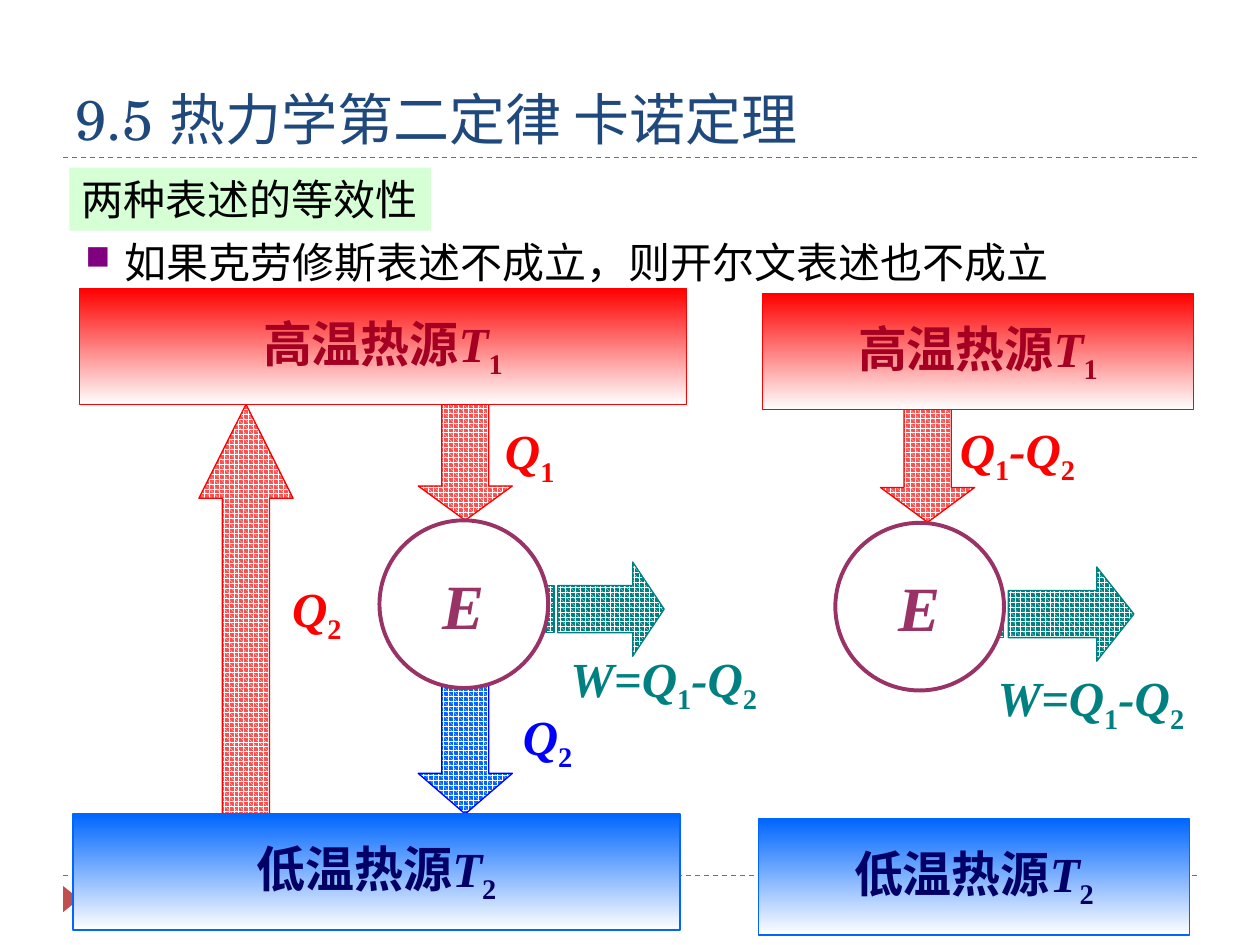
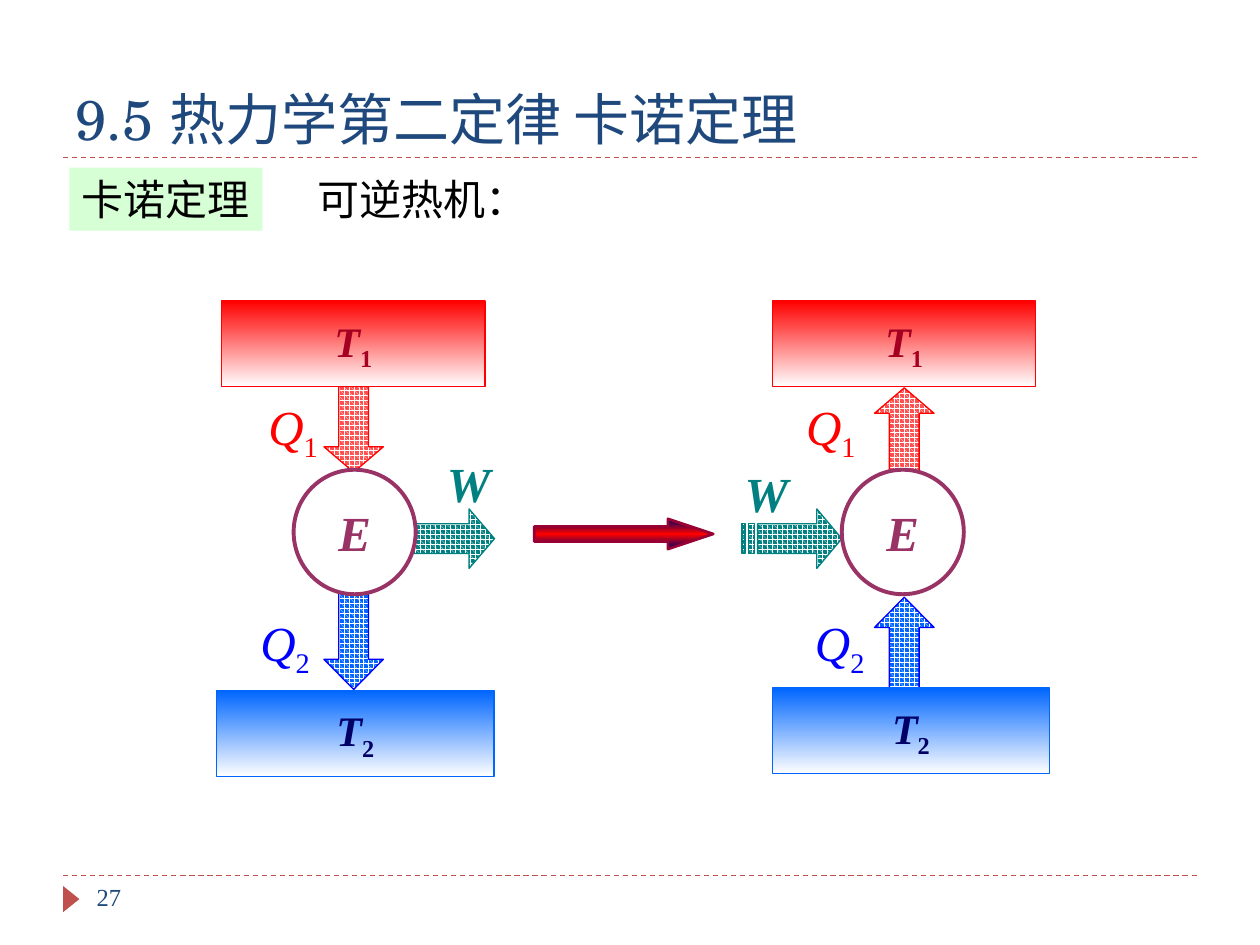
from copy import deepcopy
from dataclasses import dataclass

from lxml import etree
from pptx import Presentation
from pptx.dml.color import RGBColor
from pptx.enum.dml import MSO_LINE, MSO_PATTERN
from pptx.enum.shapes import MSO_CONNECTOR, MSO_SHAPE
from pptx.enum.text import MSO_ANCHOR, MSO_AUTO_SIZE, PP_ALIGN
from pptx.oxml.ns import qn
from pptx.util import Cm, Pt

LEFT, CENTER = PP_ALIGN.LEFT, PP_ALIGN.CENTER
TOP, MIDDLE, BOTTOM = MSO_ANCHOR.TOP, MSO_ANCHOR.MIDDLE, MSO_ANCHOR.BOTTOM
RECT, OVAL, TRIANGLE = MSO_SHAPE.RECTANGLE, MSO_SHAPE.OVAL, MSO_SHAPE.ISOSCELES_TRIANGLE
RIGHT_ARROW = MSO_SHAPE.RIGHT_ARROW
STRAIGHT, DASH, SPHERE = MSO_CONNECTOR.STRAIGHT, MSO_LINE.DASH, MSO_PATTERN.SPHERE
GROW, NO_FIT = MSO_AUTO_SIZE.SHAPE_TO_FIT_TEXT, MSO_AUTO_SIZE.NONE

COLORS = {
    "title": "1F497D", "accent": "C0504D", "tag": "CCFFCC", "text": "000000",
    "bullet": "800080", "white": "FFFFFF", "engine": "993366", "work": "008080",
    "hot": "FF0000", "hot_dots": "FF5050", "hot_text": "A50021",
    "cold": "0066FF", "cold_label": "0000FF", "cold_text": "000066",
    "change_line": "990033",
}
TITLE = "9.5 热力学第二定律 卡诺定理"
TITLE_FONT, BODY_FONT = "TeX Gyre Schola", "Times New Roman"
# Flow kind: pattern colour, outline and label colour
FLOWS = {"hot": ("hot_dots", "hot"), "cold": ("cold", "cold_label"), "work": ("work", "work")}
LABEL_HEIGHT = 1.45
LABEL_WIDTHS = {"W": 1.4, "Q_1": 1.55, "Q_2": 1.55, "Q_1-Q_2": 2.95, "W=Q_1-Q_2": 4.39}


# All positions and sizes below are in centimetres
@dataclass
class Reservoir:
    kind: str
    x: float
    y: float
    w: float
    h: float
    name: str = ""
    size: int = 28


@dataclass
class Engine:
    x: float
    y: float
    w: float
    h: float
    size: int


@dataclass
class Flow:
    kind: str
    direction: str
    x: float
    y: float
    w: float
    h: float
    head: float = 0.25


@dataclass
class Label:
    kind: str
    text: str
    x: float
    y: float
    bold: bool = True


def rgb(name: str) -> RGBColor:
    return RGBColor.from_string(COLORS[name])


def box(x: float, y: float, w: float, h: float) -> tuple:
    return Cm(x), Cm(y), Cm(w), Cm(h)


# Text
def add_run(p, text: str, *, size: int, color: str, font: str = BODY_FONT,
            bold: bool = False, italic: bool = False, sub: bool = False) -> None:
    r = p.add_run()
    r.text = text
    f = r.font
    f.name, f.size, f.bold, f.italic = font, Pt(size), bold, italic
    f.color.rgb = rgb(color)
    if sub:
        r._r.get_or_add_rPr().set("baseline", "-25000")


def add_formula(p, formula: str, **fmt) -> None:
    """Italic symbols; the character after each underscore is an upright subscript."""
    first, *parts = formula.split("_")
    add_run(p, first, italic=True, **fmt)
    for part in parts:
        add_run(p, part[0], sub=True, **fmt)
        if part[1:]:
            add_run(p, part[1:], italic=True, **fmt)


def set_frame(sp, *, anchor=TOP, align=LEFT, wrap: bool = False, fit=NO_FIT):
    tf = sp.text_frame
    tf.word_wrap, tf.auto_size, tf.vertical_anchor = wrap, fit, anchor
    p = tf.paragraphs[0]
    p.alignment = align
    return p


def add_text(slide, text: str, area: tuple, *, size: int = 24, color: str = "text"):
    p = set_frame(slide.shapes.add_textbox(*area), wrap=True, fit=GROW)
    add_run(p, text, size=size, color=color)
    return p


# Shapes
def add_shape(slide, kind, area: tuple, *, fill: str = "", line: str = "", width: float = 0.75):
    sp = slide.shapes.add_shape(kind, *area)
    sp.shadow.inherit = False
    if fill:
        sp.fill.solid()
        sp.fill.fore_color.rgb = rgb(fill)
    set_line(sp, line, width)
    return sp


def set_line(sp, color: str, width: float) -> None:
    if color:
        sp.line.color.rgb = rgb(color)
        sp.line.width = Pt(width)
    else:
        sp.line.fill.background()


def set_gradient(sp, *names: str) -> None:
    """Evenly spaced colours from top to bottom."""
    sp.fill.gradient()
    sp.fill.gradient_angle = 270
    stops = sp._element.find(".//" + qn("a:gsLst"))
    for _ in names[2:]:
        stops.append(deepcopy(stops[0]))
    for i, (stop, name) in enumerate(zip(sp.fill.gradient_stops, names)):
        stop.position = i / (len(names) - 1)
        stop.color.rgb = rgb(name)


def draw_reservoir(slide, item: Reservoir) -> None:
    sp = add_shape(slide, RECT, box(item.x, item.y, item.w, item.h), line=item.kind)
    set_gradient(sp, item.kind, "white")
    p = set_frame(sp, anchor=MIDDLE, align=CENTER)
    fmt = dict(size=item.size, color=item.kind + "_text", bold=True)
    if item.name:
        add_run(p, item.name, **fmt)
    add_formula(p, "T_1" if item.kind == "hot" else "T_2", **fmt)


def draw_engine(slide, item: Engine) -> None:
    sp = add_shape(slide, OVAL, box(item.x, item.y, item.w, item.h),
                   fill="white", line="engine", width=2.25)
    p = set_frame(sp, anchor=MIDDLE, align=CENTER)
    add_formula(p, "E", size=item.size, color="engine", bold=True)


def draw_flow(slide, item: Flow) -> None:
    """Striped arrow: two stripes at the tail, then the shaft and head."""
    def point(along: float, across: float) -> tuple:
        if item.direction == "right":
            fx, fy = along, across
        else:
            fx, fy = across, along if item.direction == "down" else 1 - along
        return Cm(item.x + fx * item.w), Cm(item.y + fy * item.h)

    neck = 1 - item.head
    outlines = [[(neck, 0), (neck, 0.25), (5 / 32, 0.25), (5 / 32, 0.75),
                 (neck, 0.75), (neck, 1), (1, 0.5)]]
    for a, b in ((2 / 32, 4 / 32), (0, 1 / 32)):
        outlines.append([(a, 0.25), (a, 0.75), (b, 0.75), (b, 0.25)])
    builder = None
    for outline in outlines:
        start, *rest = [point(*pt) for pt in outline]
        if builder is None:
            builder = slide.shapes.build_freeform(*start)
        else:
            builder.move_to(*start)
        builder.add_line_segments(rest, close=True)
    sp = builder.convert_to_shape()
    sp.shadow.inherit = False
    dots, outline_color = FLOWS[item.kind]
    sp.fill.patterned()
    sp.fill.pattern = SPHERE
    sp.fill.fore_color.rgb = rgb("white")
    sp.fill.back_color.rgb = rgb(dots)
    set_line(sp, outline_color, 0.75)


def draw_label(slide, item: Label) -> None:
    area = box(item.x, item.y, LABEL_WIDTHS[item.text], LABEL_HEIGHT)
    p = set_frame(slide.shapes.add_textbox(*area), fit=GROW)
    add_formula(p, item.text, size=28, color=FLOWS[item.kind][1], bold=item.bold)


DRAWERS = {Reservoir: draw_reservoir, Engine: draw_engine, Flow: draw_flow, Label: draw_label}


def draw_all(slide, items: list) -> None:
    for item in items:
        DRAWERS[type(item)](slide, item)


# Parts shared by both slides
def new_slide(prs, tag: str, tag_width: float):
    slide = prs.slides.add_slide(prs.slide_layouts[5])
    for y in (3.18, 17.65):
        rule = slide.shapes.add_connector(STRAIGHT, Cm(1.27), Cm(y), Cm(24.13), Cm(y))
        set_line(rule, "accent", 0.75)
        rule.line.dash_style = DASH
        etree.SubElement(rule._element.spPr, qn("a:effectLst"))
    marker = add_shape(slide, TRIANGLE, box(1.17, 17.96, 0.53, 0.33), fill="accent")
    marker.rotation = 90

    title = slide.shapes.title
    title.left, title.top, title.width, title.height = box(1.27, 0.64, 22.86, 2.54)
    p = set_frame(title, anchor=BOTTOM, wrap=True)
    add_run(p, TITLE, size=32, color="title", font=TITLE_FONT)

    sp = add_shape(slide, RECT, box(1.4, 3.38, tag_width, 1.27), fill="tag")
    color = sp._element.spPr.find(qn("a:solidFill"))[0]
    etree.SubElement(color, qn("a:alpha"), val="80000")
    add_run(set_frame(sp, anchor=MIDDLE, fit=GROW), tag, size=24, color="text")
    return slide


def equivalence_slide(prs) -> None:
    slide = new_slide(prs, "两种表述的等效性", 7.29)
    p = add_text(slide, "如果克劳修斯表述不成立，则开尔文表述也不成立", box(1.47, 4.39, 20.93, 1.52))
    pPr = p._p.get_or_add_pPr()
    pPr.set("marL", str(Cm(0.8)))
    pPr.set("indent", str(Cm(-0.8)))
    bullet_color = etree.SubElement(pPr, qn("a:buClr"))
    etree.SubElement(bullet_color, qn("a:srgbClr"), val=COLORS["bullet"])
    etree.SubElement(pPr, qn("a:buSzPct"), val="80000")
    etree.SubElement(pPr, qn("a:buChar"), char="■")
    p.line_spacing = 1.25

    draw_all(slide, [
        # Combined machine
        Flow("hot", "up", 4.01, 8.15, 1.9, 9.98, head=0.19),
        Flow("work", "right", 10.85, 11.33, 2.54, 1.9),
        Flow("hot", "down", 8.43, 7.72, 1.9, 2.77),
        Flow("cold", "down", 8.43, 13.13, 1.9, 3.28),
        Engine(7.65, 10.49, 3.4, 3.38, 36),
        Reservoir("hot", 1.6, 5.82, 12.24, 2.34, "高温热源"),
        Reservoir("cold", 1.47, 16.41, 12.24, 2.34, "低温热源"),
        Label("hot", "Q_2", 5.64, 11.53),
        Label("hot", "Q_1", 9.93, 8.36),
        Label("cold", "Q_2", 10.29, 14.12),
        Label("work", "W=Q_1-Q_2", 11.25, 12.95),
        # Net effect
        Flow("hot", "down", 17.75, 7.72, 1.9, 2.81),
        Flow("work", "right", 19.86, 11.43, 3, 1.9),
        Engine(16.84, 10.54, 3.4, 3.38, 36),
        Reservoir("hot", 15.37, 5.92, 8.69, 2.34, "高温热源"),
        Reservoir("cold", 15.29, 16.51, 8.69, 2.34, "低温热源"),
        Label("hot", "Q_1-Q_2", 19.1, 8.33),
        Label("work", "W=Q_1-Q_2", 19.86, 13.34),
    ])


def carnot_slide(prs) -> None:
    slide = new_slide(prs, "卡诺定理", 3.89)
    add_text(slide, "27", box(1.7, 17.65, 5.51, 1.02), size=14, color="title")
    add_text(slide, "可逆热机：", box(6.15, 3.38, 4.65, 1.27))

    draw_all(slide, [
        # Forward engine
        Flow("work", "right", 7.92, 10.26, 2.05, 1.2),
        Flow("hot", "down", 6.53, 7.47, 1.2, 2.05),
        Flow("cold", "down", 6.53, 11.46, 1.2, 2.44),
        Engine(5.92, 9.47, 2.46, 2.51, 28),
        Reservoir("hot", 4.47, 6.07, 5.31, 1.73, size=24),
        Reservoir("cold", 4.37, 13.92, 5.59, 1.73, size=24),
        Label("work", "W", 8.76, 9.02),
        Label("hot", "Q_1", 5.16, 7.87, bold=False),
        Label("cold", "Q_2", 5, 12.22, bold=False),
        # Reversed engine
        Flow("work", "right", 14.96, 10.26, 2.01, 1.2),
        Flow("hot", "up", 17.63, 7.82, 1.2, 2.05),
        Flow("cold", "up", 17.63, 12.04, 1.2, 2.44),
        Engine(16.97, 9.47, 2.46, 2.51, 28),
        Reservoir("hot", 15.57, 6.07, 5.31, 1.73, size=24),
        Reservoir("cold", 15.57, 13.87, 5.59, 1.73, size=24),
        Label("work", "W", 14.76, 9.22),
        Label("hot", "Q_1", 16, 7.87, bold=False),
        Label("cold", "Q_2", 16.18, 12.22, bold=False),
    ])
    # Reversal between the two engines
    sp = add_shape(slide, RIGHT_ARROW, box(10.77, 10.46, 3.61, 0.61),
                   line="change_line", width=1.5)
    sp.adjustments[0], sp.adjustments[1] = 0.5, 1.5
    set_gradient(sp, "cold_text", "hot", "cold_text")


def main() -> None:
    prs = Presentation()
    prs.slide_width, prs.slide_height = Cm(25.4), Cm(19.05)
    equivalence_slide(prs)
    carnot_slide(prs)
    prs.save("out.pptx")


if __name__ == "__main__":
    main()
